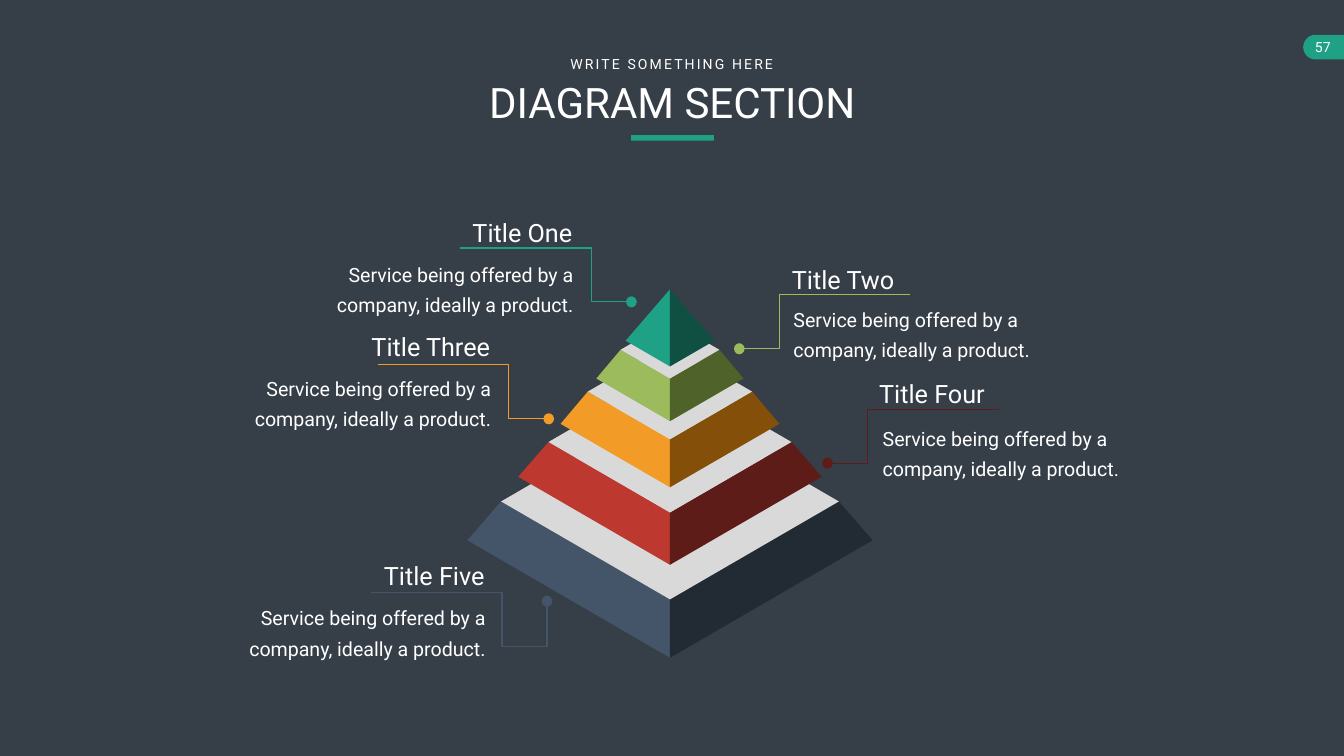
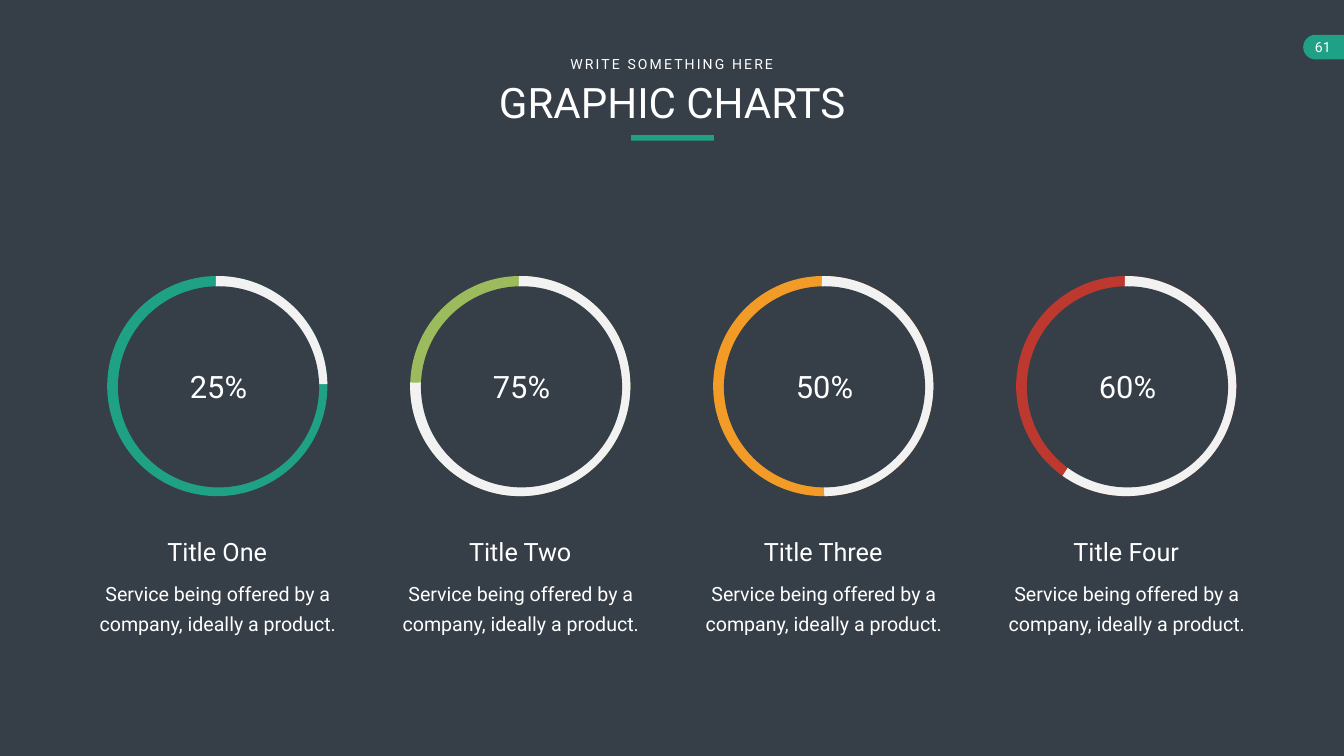
from dataclasses import dataclass

from pptx import Presentation
from pptx.dml.color import RGBColor
from pptx.enum.shapes import MSO_SHAPE
from pptx.enum.text import MSO_AUTO_SIZE, PP_ALIGN
from pptx.shapes.autoshape import Shape
from pptx.slide import Slide
from pptx.util import Inches, Pt

Point = tuple[float, float]

COLORS = {
    "background": "363E48", "white": "FFFFFF", "track": "F2F2F2", "cap": "D9D9D9",
    "green": "1EA185", "dark green": "0F5043",
    "lime": "9BBB5C", "dark lime": "4F6229",
    "orange": "F29B26", "dark orange": "844F08",
    "red": "BD392F", "dark red": "5E1C18",
    "blue": "445469", "dark blue": "222A34",
}
FONT = "Roboto"
SERVICE = "Service being offered by a company, ideally a product."


@dataclass(frozen=True)
class Tier:
    """One pyramid level: half widths and heights of its outer corners."""
    color: str
    top_half: float
    top_y: float
    base_half: float
    base_y: float


@dataclass(frozen=True)
class Callout:
    title: str
    color: str
    title_at: Point
    service_at: Point
    leader: list[Point]
    dot_center: Point
    align: PP_ALIGN


@dataclass(frozen=True)
class Ring:
    title: str
    percent: int
    color: str
    track_end: float  # degrees clockwise from three o'clock


PYRAMID_X = 13.29
PYRAMID_SLOPE = 0.58
TIERS = [
    Tier("blue", 3.35, 9.95, 4.02, 10.72),
    Tier("red", 2.41, 8.77, 3.01, 9.46),
    Tier("orange", 1.63, 7.77, 2.17, 8.41),
    Tier("lime", 0.98, 6.94, 1.46, 7.51),
    Tier("green", 0, 5.74, 0.88, 6.76),
]

LEADER_DROP = 1.07
DOT_WIDTH, DOT_HEIGHT = 0.21, 0.22


def side_callout(title: str, color: str, title_at: Point, service_at: Point,
                 start: Point, align: PP_ALIGN) -> Callout:
    """Callout whose leader steps down from its title towards the pyramid."""
    direction = 1 if align == PP_ALIGN.RIGHT else -1
    x, y = start
    elbow, end, low = x + direction * 2.6, x + direction * 3.5, y + LEADER_DROP
    leader = [start, (elbow, y), (elbow, low), (end, low)]
    dot_center = (end - direction * DOT_WIDTH / 2, low)
    return Callout(title, color, title_at, service_at, leader, dot_center, align)


CALLOUTS = [
    side_callout("Title One", "green", (8.76, 4.26), (5.7, 4.97), (9.13, 4.92), PP_ALIGN.RIGHT),
    side_callout("Title Two", "lime", (15.61, 5.19), (15.5, 5.86), (18.06, 5.85), PP_ALIGN.LEFT),
    side_callout("Title Three", "orange", (7.13, 6.52), (4.07, 7.22), (7.49, 7.24), PP_ALIGN.RIGHT),
    side_callout("Title Four", "dark red", (17.34, 7.46), (17.27, 8.21), (19.81, 8.12),
                 PP_ALIGN.LEFT),
    Callout("Title Five", "blue", (7.02, 11.07), (3.96, 11.78),
            [(7.36, 11.76), (9.96, 11.76), (9.96, 12.83), (10.85, 12.83), (10.85, 11.98)],
            (10.85, 11.93), PP_ALIGN.RIGHT),
]

RINGS = [
    Ring("Title One", 25, "green", 358.99),
    Ring("Title Two", 75, "lime", 181.94),
    Ring("Title Three", 50, "orange", 89.52),
    Ring("Title Four", 60, "red", 125.5),
]
RING_LEFT, RING_TOP, RING_SIZE, RING_PITCH = 2.3, 5.65, 4.02, 6.01
TRACK_START = 269.26
ADJUSTMENT_PER_DEGREE = 0.6


def rgb(color: str) -> RGBColor:
    return RGBColor.from_string(COLORS[color])


def paint(shape: Shape, fill: str | None, line: str | None = None, width: float = 0) -> None:
    shape.shadow.inherit = False
    if fill:
        shape.fill.solid()
        shape.fill.fore_color.rgb = rgb(fill)
    else:
        shape.fill.background()
    if line:
        shape.line.color.rgb = rgb(line)
        shape.line.width = Pt(width)
    else:
        shape.line.fill.background()


def add_preset(slide: Slide, preset: MSO_SHAPE, left: float, top: float, width: float,
               height: float, fill: str, line: str | None = None, line_width: float = 0) -> Shape:
    shape = slide.shapes.add_shape(preset, Inches(left), Inches(top),
                                   Inches(width), Inches(height))
    paint(shape, fill, line, line_width)
    return shape


def add_outline(slide: Slide, points: list[Point], closed: bool = True) -> Shape:
    start, *rest = [(Inches(x), Inches(y)) for x, y in points]
    builder = slide.shapes.build_freeform(*start)
    builder.add_line_segments(rest, close=closed)
    return builder.convert_to_shape()


def add_text(slide: Slide, text: str, left: float, top: float, width: float, height: float,
             size: float, align: PP_ALIGN = PP_ALIGN.CENTER, wrap: bool = True,
             inset: Point = (0.1, 0.05), line_spacing: float | None = None) -> Shape:
    box = slide.shapes.add_textbox(Inches(left), Inches(top), Inches(width), Inches(height))
    frame = box.text_frame
    frame.word_wrap = wrap
    frame.auto_size = MSO_AUTO_SIZE.SHAPE_TO_FIT_TEXT
    frame.margin_left = frame.margin_right = Inches(inset[0])
    frame.margin_top = frame.margin_bottom = Inches(inset[1])
    paragraph = frame.paragraphs[0]
    paragraph.text = text
    paragraph.alignment = align
    if line_spacing:
        paragraph.line_spacing = Pt(line_spacing)
    paragraph.font.name = FONT
    paragraph.font.size = Pt(size)
    paragraph.font.color.rgb = rgb("white")
    return box


def add_service(slide: Slide, left: float, top: float, width: float, align: PP_ALIGN) -> None:
    add_text(slide, SERVICE, left, top, width, 1.39, 28, align,
             inset=(0.24, 0.12), line_spacing=43)


def add_base_slide(prs: Presentation, title: str, page: int) -> Slide:
    """Blank slide with the page tab and the heading."""
    slide = prs.slides.add_slide(prs.slide_layouts[6])
    tab_end = add_preset(slide, MSO_SHAPE.FLOWCHART_DELAY, 25.85, 0.69, 0.49, 0.49, "green")
    tab_end.rotation = 180
    add_preset(slide, MSO_SHAPE.RECTANGLE, 26.34, 0.69, 0.32, 0.49, "green")
    add_text(slide, str(page), 25.87, 0.67, 0.74, 0.54, 20, wrap=False, inset=(0.2, 0.1))

    add_preset(slide, MSO_SHAPE.RECTANGLE, 12.52, 2.68, 1.64, 0.11, "green")
    add_text(slide, title, 7.1, 1.47, 12.47, 1.11, 60)
    kicker = add_text(slide, "WRITE SOMETHING HERE", 11.15, 1.05, 4.35, 0.44, 20, wrap=False)
    letters = kicker.text_frame.paragraphs[0].runs[0]
    letters._r.get_or_add_rPr().set("spc", "300")
    return slide


def add_tier(slide: Slide, tier: Tier) -> None:
    top_drop = tier.top_half * PYRAMID_SLOPE
    front_top = (PYRAMID_X, tier.top_y + top_drop)
    front_base = (PYRAMID_X, tier.base_y + tier.base_half * PYRAMID_SLOPE)
    for side, color in ((-1, tier.color), (1, f"dark {tier.color}")):
        face = add_outline(slide, [front_top, front_base,
                                   (PYRAMID_X + side * tier.base_half, tier.base_y),
                                   (PYRAMID_X + side * tier.top_half, tier.top_y)])
        paint(face, color)
    if tier.top_half:
        cap = add_outline(slide, [(PYRAMID_X - tier.top_half, tier.top_y), front_top,
                                  (PYRAMID_X + tier.top_half, tier.top_y),
                                  (PYRAMID_X, tier.top_y - top_drop)])
        paint(cap, "cap")


def add_callout(slide: Slide, callout: Callout) -> None:
    leader = add_outline(slide, callout.leader, closed=False)
    paint(leader, None, callout.color, 1.75)
    x, y = callout.dot_center
    add_preset(slide, MSO_SHAPE.OVAL, x - DOT_WIDTH / 2, y - DOT_HEIGHT / 2,
               DOT_WIDTH, DOT_HEIGHT, callout.color)
    title_width, service_width = (2.69, 5.91) if callout.align == PP_ALIGN.RIGHT else (2.79, 5.43)
    add_text(slide, callout.title, *callout.title_at, title_width, 0.71, 36, callout.align)
    add_service(slide, *callout.service_at, service_width, callout.align)


def add_ring(slide: Slide, ring: Ring, left: float) -> None:
    """Coloured ring with a light arc over it and its texts."""
    outer = (left, RING_TOP, RING_SIZE, RING_SIZE)
    add_preset(slide, MSO_SHAPE.OVAL, *outer, "white", ring.color, 25)
    track = add_preset(slide, MSO_SHAPE.ARC, *outer, "white", "track", 25)
    track.adjustments[0] = TRACK_START * ADJUSTMENT_PER_DEGREE
    track.adjustments[1] = ring.track_end * ADJUSTMENT_PER_DEGREE
    add_preset(slide, MSO_SHAPE.OVAL, left + 0.04, RING_TOP + 0.03, 3.99, 3.99, "background")

    center = left + RING_SIZE / 2
    add_text(slide, f"{ring.percent}%", center - 0.65, 7.25, 1.35, 0.84, 44, wrap=False)
    add_text(slide, ring.title, center - 1.5, 10.59, 3, 0.71, 36)
    add_service(slide, center - 2.79, 11.3, 5.6, PP_ALIGN.CENTER)


def main() -> None:
    prs = Presentation()
    prs.slide_width, prs.slide_height = Inches(26.66), Inches(15)
    backdrop = prs.slide_master.background.fill
    backdrop.solid()
    backdrop.fore_color.rgb = rgb("background")

    diagram = add_base_slide(prs, "DIAGRAM SECTION", 57)
    for tier in TIERS:
        add_tier(diagram, tier)
    for callout in CALLOUTS:
        add_callout(diagram, callout)

    charts = add_base_slide(prs, "GRAPHIC CHARTS", 61)
    for index, ring in enumerate(RINGS):
        add_ring(charts, ring, RING_LEFT + index * RING_PITCH)

    prs.save("out.pptx")


if __name__ == "__main__":
    main()
